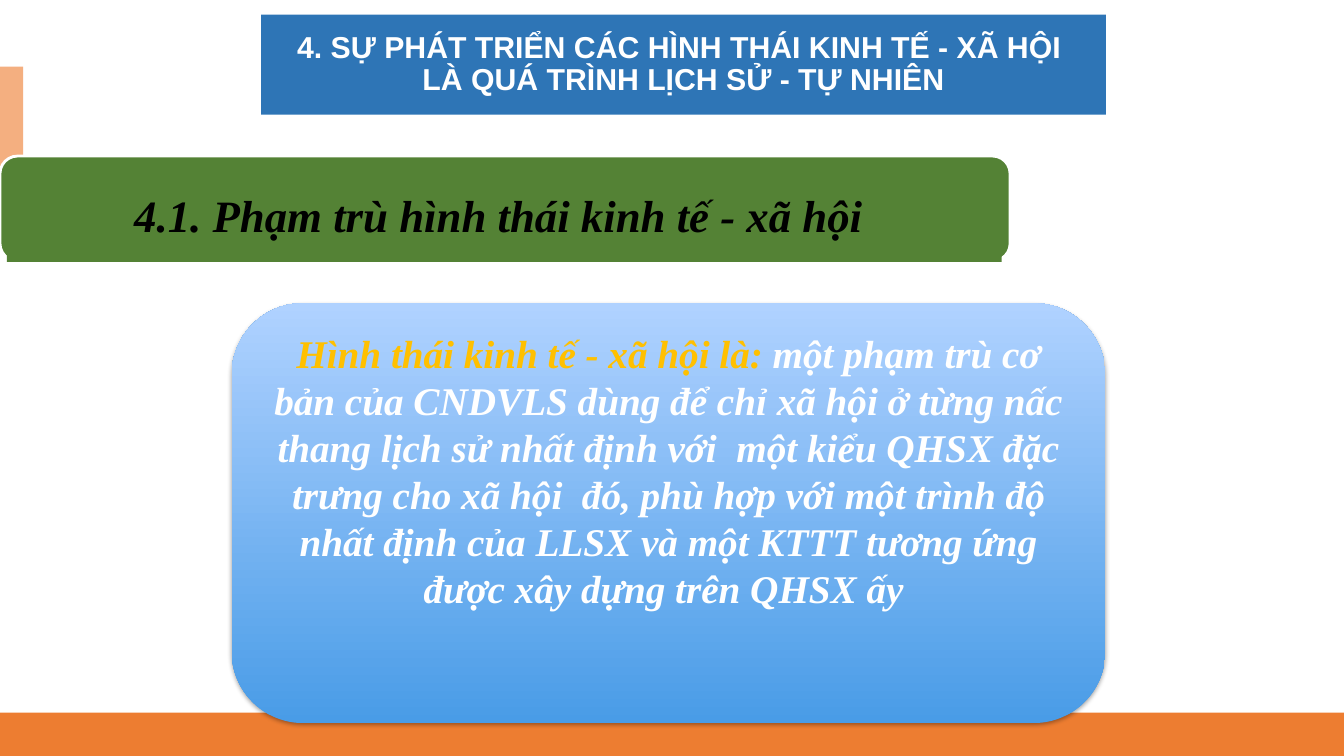
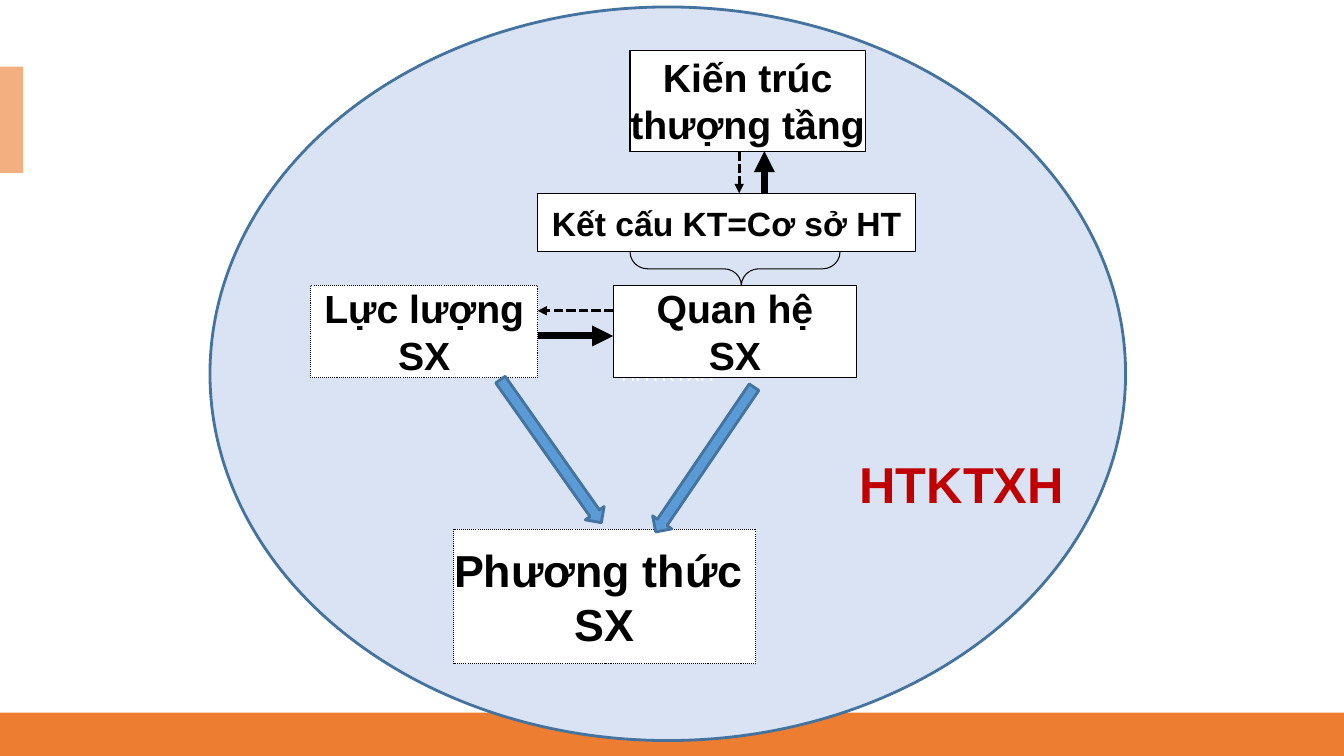
from lxml.etree import SubElement
from pptx import Presentation
from pptx.dml.color import RGBColor
from pptx.enum.dml import MSO_LINE
from pptx.enum.shapes import MSO_CONNECTOR, MSO_SHAPE
from pptx.enum.text import MSO_ANCHOR, MSO_AUTO_SIZE, PP_ALIGN
from pptx.oxml.ns import qn
from pptx.util import Pt

COLORS = {
    "white": "FFFFFF", "black": "000000", "orange": "ED7D31", "peach": "F4AF80",
    "green": "548235", "title": "2E75B6", "gold": "FFC000", "deep": "499CE7",
    "light": "B0D2FF", "pale": "DAE3F3", "edge": "43739E", "blue": "5B9BD5",
    "red": "C00000",
}
SANS, SERIF = "Arial", "Times New Roman"


def rgb(name):
    """Return the named colour."""
    return RGBColor.from_string(COLORS[name])


def place(shape, box):
    """Move and size a shape."""
    shape.left, shape.top, shape.width, shape.height = map(Pt, box)


def shift(frame, box):
    """Turn a box relative to a frame into slide points."""
    return frame[0] + box[0], frame[1] + box[1], *box[2:]


def draw(shapes, kind, box, fill=None, line=None, width=0.75, dash=None):
    """Add a plain preset shape without a shadow."""
    shape = shapes.add_shape(kind, *map(Pt, box))
    shape.shadow.inherit = False
    if fill:
        shape.fill.solid()
        shape.fill.fore_color.rgb = rgb(fill)
    else:
        shape.fill.background()
    if line:
        shape.line.color.rgb = rgb(line)
        shape.line.width = Pt(width)
        if dash:
            shape.line.dash_style = dash
    else:
        shape.line.fill.background()
    return shape


def style(run, size, color, face=SANS, bold=True, italic=False):
    """Format one run."""
    font = run.font
    font.name, font.size, font.bold, font.italic = face, Pt(size), bold, italic
    font.color.rgb = rgb(color)


def write(shape, text, size, color, wrap=True, **look):
    """Put centred text in a shape."""
    frame = shape.text_frame
    frame.text = text
    frame.word_wrap = wrap
    frame.vertical_anchor = MSO_ANCHOR.MIDDLE
    for para in frame.paragraphs:
        para.alignment = PP_ALIGN.CENTER
        for run in para.runs:
            style(run, size, color, **look)
    return frame


def bands(deck, slide):
    """Draw the shared bands and move them to the master."""
    tree = deck.slide_master.element.cSld.spTree
    for spot, (box, fill) in enumerate([
        ((0, 509, 960, 31), "orange"),
        ((0, 47.5, 16.5, 76), "peach"),
    ], 2):
        band = draw(slide.shapes, MSO_SHAPE.RECTANGLE, box, fill)
        tree.insert(spot, band.element)


def head(slide, box, text):
    """Format the title placeholder as a blue block."""
    title = slide.shapes.title
    place(title, box)
    title.fill.solid()
    title.fill.fore_color.rgb = rgb("title")
    frame = write(title, text, 21.6, "white")
    frame.auto_size = MSO_AUTO_SIZE.NONE
    frame.paragraphs[0].line_spacing = 0.9


def banner(slide, box, text):
    """Draw the green section banner."""
    group = slide.shapes.add_group_shape()
    draw(group.shapes, MSO_SHAPE.ROUNDED_RECTANGLE, box, "green", "white", 2)
    inner = shift(box, (5, 8, box[2] - 11, box[3] - 7.5))
    label = draw(group.shapes, MSO_SHAPE.RECTANGLE, inner, "green")
    frame = write(label, text, 32, "black", face=SERIF, italic=True)
    frame.margin_left = frame.margin_right = Pt(17)
    frame.margin_top = frame.margin_bottom = 0


def callout(slide, box, lead, body):
    """Draw the shaded definition callout."""
    shape = draw(slide.shapes, MSO_SHAPE.ROUNDED_RECTANGULAR_CALLOUT, box)
    for spot, value in enumerate((0.23, 0.5, 0.17)):
        shape.adjustments[spot] = value
    shape.fill.gradient()
    shape.fill.gradient_angle = 90
    for stop, name in zip(shape.fill.gradient_stops, ("deep", "light")):
        stop.color.rgb = rgb(name)
    effects = shape.element.spPr.find(qn("a:effectLst"))
    shade = SubElement(effects, qn("a:outerShdw"), blurRad=str(Pt(3.1)),
                       dist=str(Pt(1.8)), dir="5400000", rotWithShape="0")
    tone = SubElement(shade, qn("a:srgbClr"), val=COLORS["black"])
    SubElement(tone, qn("a:alpha"), val="35000")
    frame = write(shape, lead, 28, "gold", face=SERIF, italic=True)
    frame.vertical_anchor = MSO_ANCHOR.TOP
    run = frame.paragraphs[0].add_run()
    run.text = body
    style(run, 28, "white", SERIF, italic=True)


def arrow(slide, frame, start, end, width, dash=None):
    """Draw a straight arrow between two points of the frame."""
    ends = shift(frame, start) + shift(frame, end)
    link = slide.shapes.add_connector(MSO_CONNECTOR.STRAIGHT, *map(Pt, ends))
    link.line.color.rgb = rgb("black")
    link.line.width = Pt(width)
    if dash:
        link.line.dash_style = dash
    props = link.element.spPr
    SubElement(props.find(qn("a:ln")), qn("a:tailEnd"), type="triangle")
    SubElement(props, qn("a:effectLst"))


def scheme(slide, frame):
    """Draw the ellipse and the diagram inside it."""
    shapes = slide.shapes
    oval = draw(shapes, MSO_SHAPE.OVAL, frame, "pale", "edge", 2)
    write(oval, "HHTKTXH", 14, "white", bold=False)

    dots = MSO_LINE.ROUND_DOT
    for box, text, size, dash in [
        ((72, 199, 162, 66), "Lực lượng\nSX", 28, dots),
        ((288, 199, 174, 66), "Quan hệ\nSX", 28, None),
        ((234, 133, 270, 42), "Kết cấu KT=Cơ sở HT", 24, None),
        ((300, 31, 168, 72), "Kiến trúc\nthượng tầng", 28, None),
        ((174, 373, 216, 96), "Phương thức \nSX", 32, dots),
    ]:
        node = draw(shapes, MSO_SHAPE.RECTANGLE, shift(frame, box),
                    "white", "black", dash=dash)
        write(node, text, size, "black", wrap=False)

    for start, end in [((234, 235), (288, 235)), ((396, 133), (396, 103))]:
        arrow(slide, frame, start, end, 5)
    for start, end in [((288, 217), (234, 217)), ((378, 103), (378, 133))]:
        arrow(slide, frame, start, end, 2.25, MSO_LINE.SQUARE_DOT)

    brace = draw(shapes, MSO_SHAPE.RIGHT_BRACE,
                 shift(frame, (363, 112, 24, 150)), line="black")
    brace.rotation = 90
    brace.adjustments[0], brace.adjustments[1] = 0.52, 0.47

    for left, top, turn in [(181, 309, 54.8), (291, 315, 124.2)]:
        block = draw(shapes, MSO_SHAPE.RIGHT_ARROW,
                     shift(frame, (left, top, 125, 16.5)), "blue", "edge", 2)
        block.rotation = turn

    label = shapes.add_textbox(*map(Pt, shift(frame, (450, 307, 174, 66))))
    write(label, "HTKTXH", 36, "red", wrap=False)


def main():
    """Build and save the deck."""
    deck = Presentation()
    deck.slide_width, deck.slide_height = Pt(960), Pt(540)

    first = deck.slides.add_slide(deck.slide_layouts[5])
    bands(deck, first)
    head(first, (186.5, 10.5, 603.5, 71.5),
         "4. SỰ PHÁT TRIỂN CÁC HÌNH THÁI KINH TẾ - XÃ HỘI \v"
         "LÀ QUÁ TRÌNH LỊCH SỬ - TỰ NHIÊN")
    banner(first, (0, 111.5, 721.5, 75), "4.1. Phạm trù hình thái kinh tế - xã hội ")
    callout(first, (165.5, 216.5, 624, 300), "Hình thái kinh tế - xã hội là: ",
            "một phạm trù cơ bản của CNDVLS dùng để chỉ xã hội ở từng nấc thang "
            "lịch sử nhất định với  một kiểu QHSX đặc trưng cho xã hội  đó, phù hợp "
            "với một trình độ nhất định của LLSX và một KTTT tương ứng được xây "
            "dựng trên QHSX ấy ")

    second = deck.slides.add_slide(deck.slide_layouts[6])
    scheme(second, (150, 5, 654, 524))
    deck.save("out.pptx")


if __name__ == "__main__":
    main()
